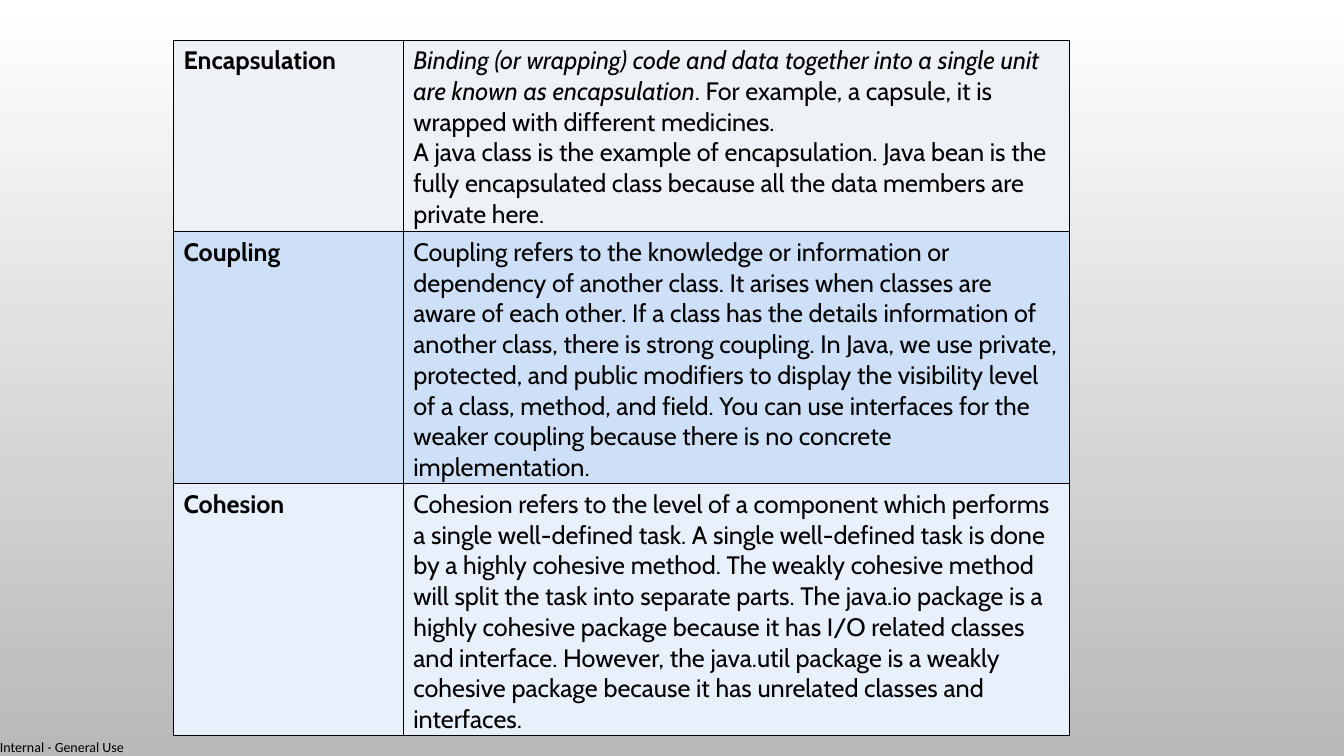
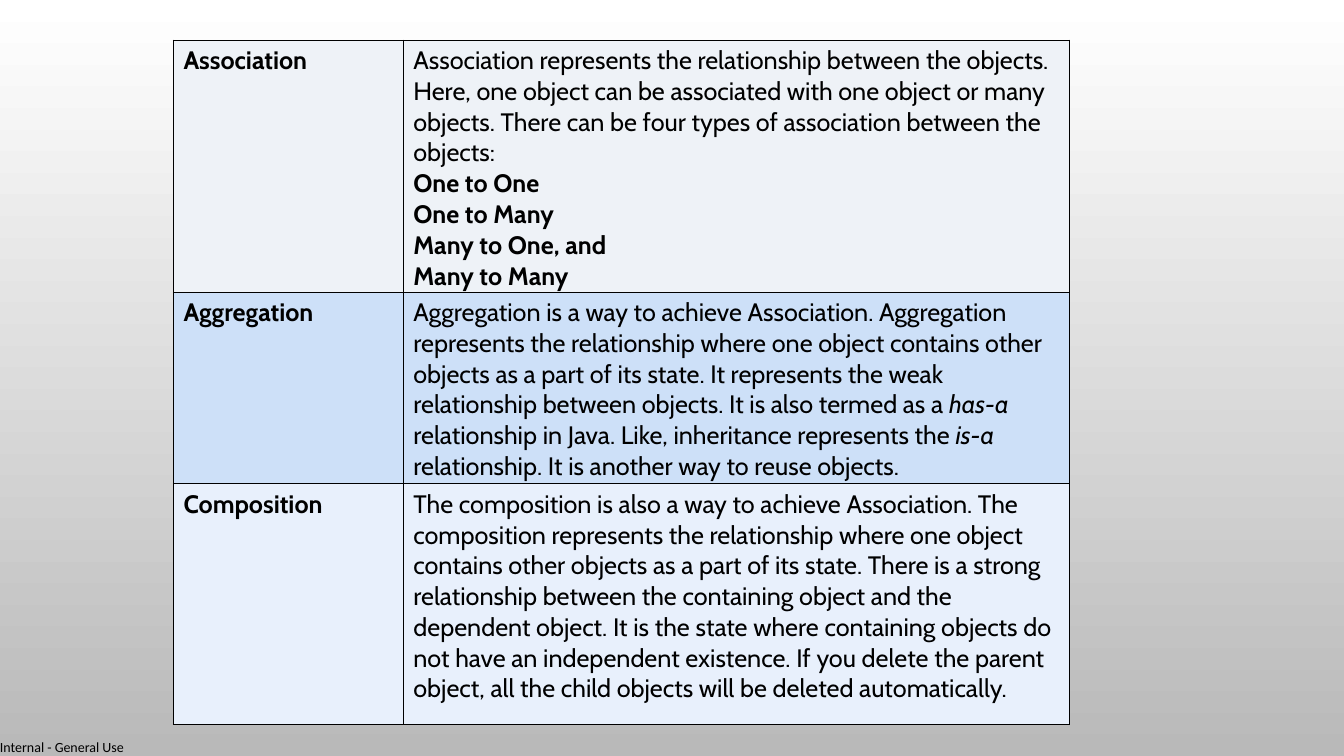
from dataclasses import dataclass

from lxml import etree
from pptx import Presentation
from pptx.dml.color import RGBColor
from pptx.enum.text import MSO_ANCHOR
from pptx.oxml.ns import qn
from pptx.util import Inches, Pt

TOP = MSO_ANCHOR.TOP
BOLD, SLANT, PLAIN = "bold", "slant", "plain"


@dataclass(frozen=True)
class Theme:
    ink: str = "000000"
    fade: tuple = ("FFFFFF", "B9B9B9")
    bands: tuple = ("EEF2F7", "CDE0F8", "E8F0FC")
    font: str = "Cabin"
    size: int = 18
    foot_font: str = "Calibri"
    foot_size: int = 10
    rule: int = Pt(1)
    step: int = Inches(0.1)
    wide: int = Inches(13.33)
    high: int = Inches(7.5)


class Deck:
    def __init__(self, theme):
        self.theme = theme
        self.show = Presentation()
        self.show.slide_width = theme.wide
        self.show.slide_height = theme.high
        self.page = None
        self.shade()

    def grid(self, *units):
        return [round(unit * self.theme.step) for unit in units]

    def shade(self):
        fill = self.show.slide_master.background.fill
        fill.gradient()
        fill.gradient_angle = 270
        for stop, tone in zip(fill.gradient_stops, self.theme.fade):
            stop.color.rgb = RGBColor.from_string(tone)

    def slide(self):
        self.page = self.show.slides.add_slide(self.show.slide_layouts[6])

    def add_text(self, para, text, font, size, look=PLAIN):
        run = para.add_run()
        run.text = text
        run.font.name = font
        run.font.size = Pt(size)
        run.font.bold = look == BOLD
        run.font.italic = look == SLANT
        run.font.color.rgb = RGBColor.from_string(self.theme.ink)

    def footer(self, text):
        box = self.page.shapes.add_textbox(*self.grid(0, 73.3, 12.7, 1.7))
        frame = box.text_frame
        frame.margin_left = frame.margin_right = 0
        frame.margin_top = frame.margin_bottom = 0
        self.add_text(frame.paragraphs[0], text,
                      self.theme.foot_font, self.theme.foot_size)
        self.show.slide_master.element.cSld.spTree.append(box.element)

    def border(self, cell):
        props = cell._tc.get_or_add_tcPr()
        for side in ("lnL", "lnR", "lnT", "lnB"):
            line = etree.SubElement(props, qn("a:" + side), w=str(self.theme.rule))
            fill = etree.SubElement(line, qn("a:solidFill"))
            etree.SubElement(fill, qn("a:srgbClr"), val=self.theme.ink)

    def cell(self, cell, paras, tone):
        self.border(cell)
        cell.fill.solid()
        cell.fill.fore_color.rgb = RGBColor.from_string(tone)
        cell.vertical_anchor = TOP
        cell.margin_left, cell.margin_right = self.grid(1, 1)
        cell.margin_top, cell.margin_bottom = self.grid(0.5, 0.1)
        frame = cell.text_frame
        for num, runs in enumerate(paras):
            para = frame.add_paragraph() if num else frame.paragraphs[0]
            for text, look in runs:
                self.add_text(para, text, self.theme.font, self.theme.size, look)

    def table(self, rows, highs, wides=(22.8, 66.1)):
        spot = self.grid(17.2, 4, sum(wides), sum(highs))
        table = self.page.shapes.add_table(len(rows), len(wides), *spot).table
        table.first_row = table.horz_banding = False
        for col, wide in zip(table.columns, self.grid(*wides)):
            col.width = wide
        for row, high, (term, paras), tone in zip(
                table.rows, self.grid(*highs), rows, self.theme.bands):
            row.height = high
            self.cell(row.cells[0], [[(term, BOLD)]], tone)
            self.cell(row.cells[1], paras, tone)


DESIGN = [
    ("Encapsulation", [
        [("Binding (or wrapping) code and data together into a single unit "
          "are known as encapsulation", SLANT),
         (". For example, a capsule, it is wrapped with different medicines.", PLAIN)],
        [("A java class is the example of encapsulation. Java bean is the fully "
          "encapsulated class because all the data members are private here.", PLAIN)],
    ]),
    ("Coupling", [
        [("Coupling refers to the knowledge or information or dependency of another "
          "class. It arises when classes are aware of each other. If a class has the "
          "details information of another class, there is strong coupling. In Java, "
          "we use private, protected, and public modifiers to display the visibility "
          "level of a class, method, and field. You can use interfaces for the weaker "
          "coupling because there is no concrete implementation.", PLAIN)],
    ]),
    ("Cohesion", [
        [("Cohesion refers to the level of a component which performs a single "
          "well-defined task. A single well-defined task is done by a highly cohesive "
          "method. The weakly cohesive method will split the task into separate parts. "
          "The java.io package is a highly cohesive package because it has I/O related "
          "classes and interface. However, the java.util package is a weakly cohesive "
          "package because it has unrelated classes and interfaces.", PLAIN)],
    ]),
]

LINKS = [
    ("Association", [
        [("Association represents the relationship between the objects. Here, one "
          "object can be associated with one object or many objects. There can be "
          "four types of association between the objects:", PLAIN)],
        [("One to One", BOLD)],
        [("One to Many", BOLD)],
        [("Many to One, and", BOLD)],
        [("Many to Many", BOLD)],
    ]),
    ("Aggregation", [
        [("Aggregation is a way to achieve Association. Aggregation represents the "
          "relationship where one object contains other objects as a part of its "
          "state. It represents the weak relationship between objects. It is also "
          "termed as a ", PLAIN),
         ("has-a", SLANT),
         (" relationship in Java. Like, inheritance represents the ", PLAIN),
         ("is-a", SLANT),
         (" relationship. It is another way to reuse objects.", PLAIN)],
    ]),
    ("Composition", [
        [("The composition is also a way to achieve Association. The composition "
          "represents the relationship where one object contains other objects as a "
          "part of its state. There is a strong relationship between the containing "
          "object and the dependent object. It is the state where containing objects "
          "do not have an independent existence. If you delete the parent object, all "
          "the child objects will be deleted automatically.", PLAIN)],
    ]),
]


def main():
    deck = Deck(Theme())
    for rows, highs in ((DESIGN, (19, 25, 25)), (LINKS, (25, 19, 23.9))):
        deck.slide()
        deck.table(rows, highs)
    deck.footer("Internal - General Use")
    deck.show.save("out.pptx")


if __name__ == "__main__":
    main()
